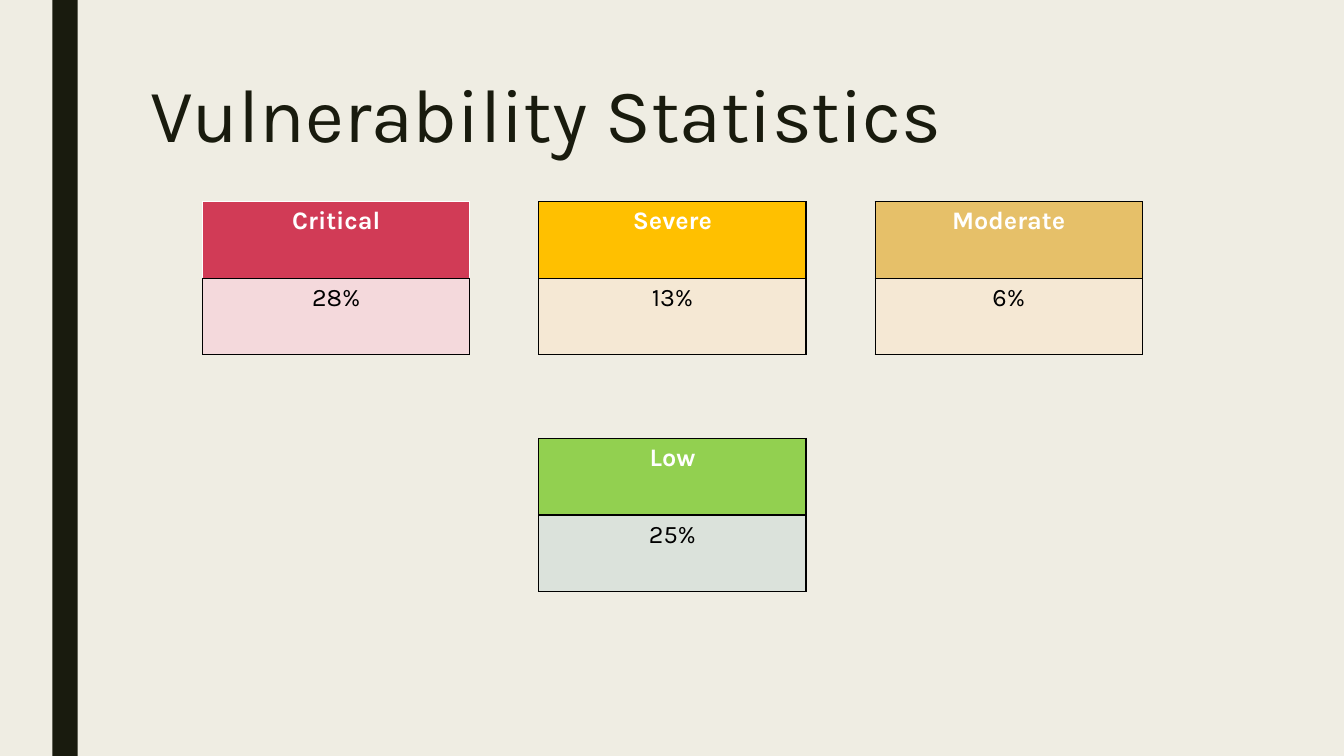
from lxml import etree
from pptx import Presentation
from pptx import util as u
from pptx.dml.color import RGBColor
from pptx.enum import shapes, text
from pptx.oxml.ns import qn

WIDTH, HEIGHT = 13.33, 7.5
FONT = "Karla"
COLORS = {
    "background": "EFEDE3", "ink": "191B0E", "white": "FFFFFF", "black": "000000",
    "critical": "D13B56", "severe": "FFC000", "moderate": "E6C069", "low": "92D050",
    "pink": "F4D9DC", "cream": "F5E8D4", "sage": "DBE2DB",
}
GRID_LEFT, GRID_TOP = 2.01, 2.0
COLUMN_STEP, ROW_STEP = 3.335, 2.35
CARD_WIDTH, CELL_HEIGHT = 2.65, 0.76

# level, share, grid column, grid row, header fill, value fill, header border
CARDS = [
    ("Critical", "28%", 0, 0, "critical", "pink", "white"),
    ("Severe", "13%", 1, 0, "severe", "cream", "black"),
    ("Moderate", "6%", 2, 0, "moderate", "cream", "black"),
    ("Low", "25%", 1, 1, "low", "sage", "black"),
]


def rgb(name):
    return RGBColor.from_string(COLORS[name])


def fill(target, color):
    target.fill.solid()
    target.fill.fore_color.rgb = rgb(color)


def write(tf, content, size, color, bold=False, align=None, spacing=None):
    p = tf.paragraphs[0]
    p.alignment = align
    p.line_spacing = spacing
    r = p.add_run()
    r.text = content
    r.font.name = FONT
    r.font.size = u.Pt(size)
    r.font.bold = bold
    r.font.color.rgb = rgb(color)


def set_borders(cell, **sides):
    """Draw 1 pt cell borders, given as side=color in the order L, R, T, B."""
    tc_pr = cell._tc.get_or_add_tcPr()
    for i, (side, color) in enumerate(sides.items()):
        ln = etree.Element(qn(f"a:ln{side}"), w=str(u.Pt(1)))
        solid = etree.SubElement(ln, qn("a:solidFill"))
        etree.SubElement(solid, qn("a:srgbClr"), val=COLORS[color])
        tc_pr.insert(i, ln)


def add_sidebar(s):
    sp = s.shapes.add_shape(shapes.MSO_SHAPE.RECTANGLE, u.Inches(0.52), 0,
                            u.Inches(0.25), u.Inches(HEIGHT))
    sp.shadow.inherit = False
    sp.line.fill.background()
    fill(sp, "ink")


def add_title(s, content):
    sp = s.shapes.title
    sp.left, sp.top = u.Inches(1.39), u.Inches(0.36)
    sp.width, sp.height = u.Inches(10.5), u.Inches(1.62)
    tf = sp.text_frame
    tf.word_wrap = True
    tf.vertical_anchor = text.MSO_ANCHOR.MIDDLE
    write(tf, content, 54, "ink", align=text.PP_ALIGN.LEFT, spacing=0.9)


def add_card(s, level, share, column, row, header_fill, value_fill, border):
    frame = s.shapes.add_table(
        2, 1, u.Inches(GRID_LEFT + column * COLUMN_STEP),
        u.Inches(GRID_TOP + row * ROW_STEP),
        u.Inches(CARD_WIDTH), u.Inches(2 * CELL_HEIGHT))
    table = frame.table
    table.horz_banding = False
    cells = [
        (level, "white", True, header_fill, border),
        (share, "black", False, value_fill, "black"),
    ]
    for i, (content, color, bold, cell_fill, edge) in enumerate(cells):
        table.rows[i].height = u.Inches(CELL_HEIGHT)
        cell = table.cell(i, 0)
        write(cell.text_frame, content, 18, color, bold, text.PP_ALIGN.CENTER)
        fill(cell, cell_fill)
        set_borders(cell, L=edge, R=edge, T=edge if i == 0 else "black", B="black")


def main():
    prs = Presentation()
    prs.slide_width, prs.slide_height = u.Inches(WIDTH), u.Inches(HEIGHT)
    s = prs.slides.add_slide(prs.slide_layouts.get_by_name("Title Only"))
    fill(s.background, "background")
    add_sidebar(s)
    add_title(s, "Vulnerability Statistics")
    for card in CARDS:
        add_card(s, *card)
    prs.save("out.pptx")


if __name__ == "__main__":
    main()
